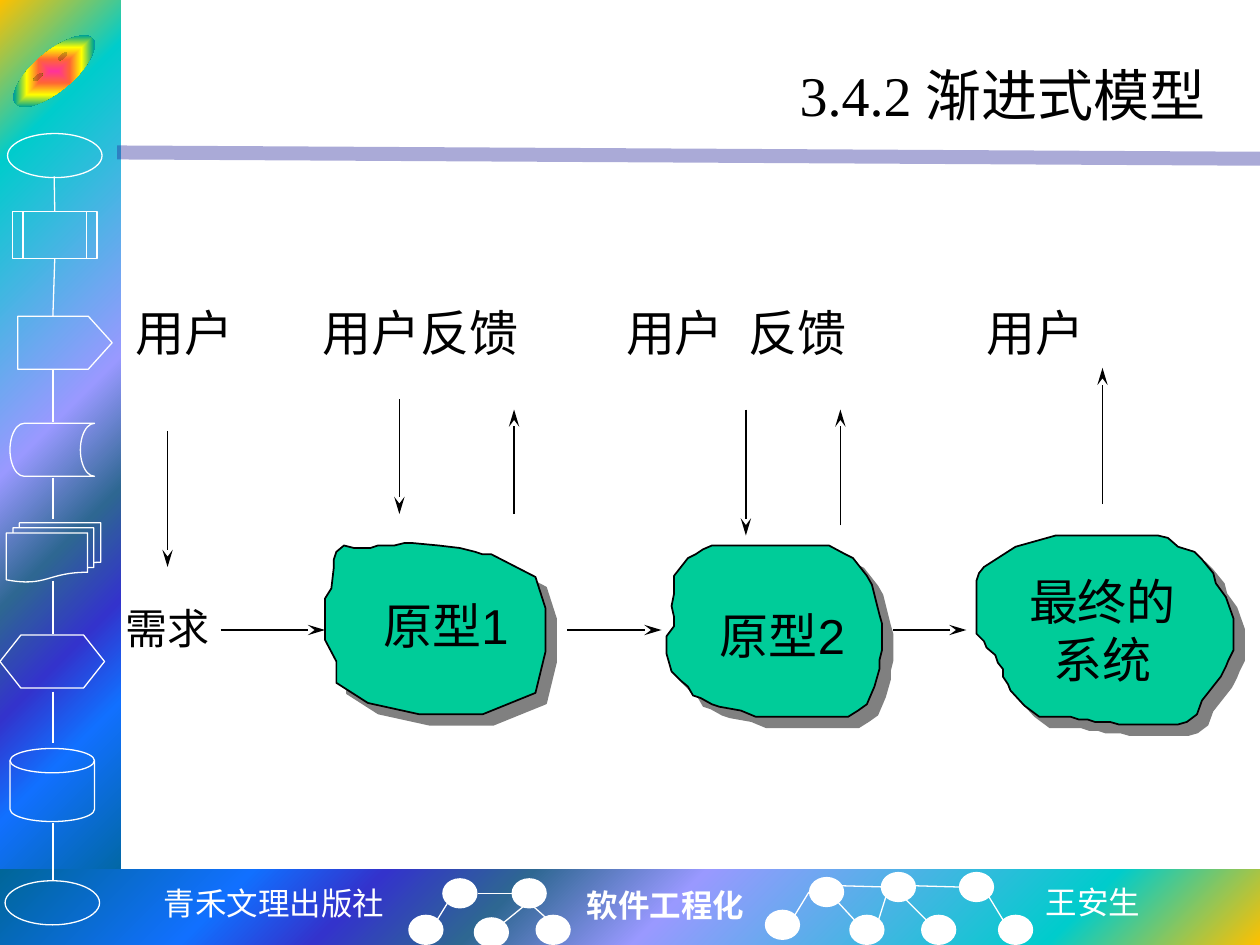
"""Build the slide on the incremental model, on a grid of 1000 columns by 750 rows."""
from lxml import etree
from pptx import Presentation
from pptx.dml.color import RGBColor
from pptx.enum.shapes import MSO_CONNECTOR, MSO_SHAPE
from pptx.enum.text import MSO_ANCHOR, PP_ALIGN
from pptx.oxml import parse_xml
from pptx.oxml.ns import nsdecls, qn
from pptx.util import Inches, Pt

LINE = MSO_CONNECTOR.STRAIGHT
RECT, OVAL = MSO_SHAPE.RECTANGLE, MSO_SHAPE.OVAL
FACE, PLATE = MSO_SHAPE.SMILEY_FACE, MSO_SHAPE.PENTAGON
STEP, STORE = MSO_SHAPE.FLOWCHART_PREDEFINED_PROCESS, MSO_SHAPE.FLOWCHART_STORED_DATA
PAGES, HEX = MSO_SHAPE.FLOWCHART_MULTIDOCUMENT, MSO_SHAPE.FLOWCHART_PREPARATION
DISK = MSO_SHAPE.FLOWCHART_MAGNETIC_DISK
LEFT, MID, RIGHT = PP_ALIGN.LEFT, PP_ALIGN.CENTER, PP_ALIGN.RIGHT
TOP, CORE = MSO_ANCHOR.TOP, MSO_ANCHOR.MIDDLE
WHITE, BLACK, GREEN = "FFFFFF", "000000", "00CC99"
SANS, SERIF, MONO, HAN = "Arial", "Times New Roman", "DejaVu Sans Mono", "Noto Sans CJK SC"
rgb = RGBColor.from_string

deck = Presentation()
deck.slide_width, deck.slide_height = Inches(10), Inches(7.5)
COL, ROW = deck.slide_width // 1000, deck.slide_height // 750
slide = deck.slides.add_slide(deck.slide_layouts[6])
shapes = slide.shapes

SEA = [(0, "FFC000"), (16, "00CCCC"), (47, "9999FF"), (60, "2E6792"),
       (71, "3333CC"), (81, "1170FF"), (100, "006699")]
GLOW = [(0, "FF3399"), (25, "FF6633"), (50, "FFFF00"), (75, "01A78F"), (100, "3366FF")]
blends = [
    (RECT, (0, 0, 96, 709), 0, SEA, "circle", (0, 0, 100, 100)),
    (RECT, (0, 690, 1000, 60), 0, SEA, "circle", (100, 100, 0, 0)),
    (FACE, (3, 41, 80, 31), -40, GLOW, "shape", (50, 50, 50, 50)),
]
for kind, (x, y, w, h), turn, stops, way, sides in blends:
    shape = shapes.add_shape(kind, x * COL, y * ROW, w * COL, h * ROW)
    shape.shadow.inherit = False
    shape.rotation = turn
    shape.line.fill.background()
    shape.fill.background()
    marks = "".join(f'<a:gs pos="{at * 1000}"><a:srgbClr val="{hue}"/></a:gs>' for at, hue in stops)
    edges = " ".join(f'{side}="{part * 1000}"' for side, part in zip("ltrb", sides))
    prop = shape._element.spPr
    prop.replace(prop.find(qn("a:noFill")), parse_xml(
        f'<a:gradFill {nsdecls("a")} rotWithShape="1"><a:gsLst>{marks}</a:gsLst>'
        f'<a:path path="{way}"><a:fillToRect {edges}/></a:path></a:gradFill>'))

icons = [
    (OVAL, 6, 106, 75, 35), (STEP, 10, 168, 67, 37), (PLATE, 14, 251, 75, 42),
    (STORE, 8, 336, 67, 42), (PAGES, 5, 415, 75, 47), (HEX, 0, 504, 83, 42),
    (DISK, 8, 594, 67, 58), (OVAL, 4, 699, 75, 35),
]
for kind, x, y, w, h in icons:
    icon = shapes.add_shape(kind, x * COL, y * ROW, w * COL, h * ROW)
    icon.shadow.inherit = False
    icon.fill.background()
    icon.line.color.rgb = rgb(WHITE)
    icon.line.width = Pt(0.75)
    if kind == PLATE:
        icon.adjustments[0] = 0.45
    if kind == STEP:
        step = icon

dots = [(351, 697), (406, 697), (324, 726), (376, 728), (425, 726), (607, 722),
        (642, 696), (699, 692), (761, 692), (674, 726), (731, 726), (792, 726)]
for x, y in dots:
    dot = shapes.add_shape(OVAL, x * COL, y * ROW, 28 * COL, 24 * ROW)
    dot.shadow.inherit = False
    dot.fill.solid()
    dot.fill.fore_color.rgb = rgb(WHITE)
    dot.line.fill.background()

blobs = [
    [(775, 493), (775, 461), (777, 455), (781, 450), (806, 434), (838, 425), (919, 425),
     (927, 427), (935, 434), (948, 438), (954, 444), (963, 455), (965, 463), (973, 474),
     (979, 491), (979, 516), (975, 524), (973, 529), (969, 537), (954, 556), (950, 567),
     (942, 573), (935, 575), (888, 575), (881, 573), (869, 573), (863, 571), (856, 571),
     (850, 569), (825, 569), (813, 560), (802, 548), (800, 543), (796, 537), (796, 531),
     (792, 526), (790, 520), (783, 514), (781, 509), (775, 503)],
    [(533, 481), (535, 471), (535, 457), (546, 443), (552, 440), (558, 436), (565, 433),
     (658, 433), (671, 440), (677, 443), (688, 457), (692, 464), (698, 488), (700, 495),
     (700, 516), (698, 524), (698, 531), (694, 545), (688, 559), (681, 564), (673, 569),
     (600, 569), (588, 564), (571, 561), (565, 559), (556, 554), (550, 552), (546, 545),
     (540, 540), (533, 533), (529, 519), (529, 505), (535, 497), (535, 490)],
    [(258, 475), (263, 467), (265, 450), (265, 444), (267, 438), (273, 433), (281, 435),
     (294, 435), (300, 433), (313, 433), (321, 431), (327, 431), (348, 433), (365, 435),
     (377, 438), (383, 440), (390, 440), (425, 458), (433, 483), (433, 517), (425, 550),
     (383, 567), (333, 567), (292, 558), (267, 542), (267, 525), (258, 508)],
]
for spots in blobs:
    pen = shapes.build_freeform(*spots[0], scale=COL)
    pen.add_line_segments(spots[1:], close=True)
    blob = pen.convert_to_shape()
    blob.fill.solid()
    blob.fill.fore_color.rgb = rgb(GREEN)
    blob.line.color.rgb = rgb(BLACK)
    blob.line.width = Pt(1)
    blob._element.spPr.append(parse_xml(
        f'<a:effectLst {nsdecls("a")}><a:outerShdw blurRad="0" dist="{Pt(8.5)}" dir="2700000" '
        'algn="ctr" rotWithShape="0"><a:srgbClr val="808080"/></a:outerShdw></a:effectLst>'))

band = [(93, 121, 1000, 126)]
chain = [(43, 140, 43, 168), (43, 205, 42, 251), (42, 293, 42, 335), (42, 379, 42, 412),
         (42, 461, 42, 503), (42, 549, 42, 590), (42, 653, 42, 699)]
links = [(347, 730, 355, 717), (400, 732, 416, 719), (406, 709, 379, 709), (434, 729, 424, 720),
         (631, 726, 642, 708), (668, 703, 703, 704), (678, 730, 665, 716), (697, 731, 703, 712),
         (726, 703, 761, 704), (735, 730, 715, 710), (796, 730, 785, 712)]
flow = [(133, 342, 133, 450), (317, 317, 317, 408), (592, 325, 592, 425), (408, 408, 408, 325),
        (667, 417, 667, 325), (875, 400, 875, 292),
        (175, 500, 258, 500), (450, 500, 525, 500), (709, 500, 767, 500)]
groups = [(band, "262699", 8), (chain + links, WHITE, 0.75), (flow, BLACK, 1)]
for rows, hue, size in groups:
    for x, y, right, low in rows:
        wire = shapes.add_connector(LINE, x * COL, y * ROW, right * COL, low * ROW)
        wire.line.color.rgb = rgb(hue)
        wire.line.width = Pt(size)
        prop = wire._element.spPr
        etree.SubElement(prop, qn("a:effectLst"))
        edge = prop.find(qn("a:ln"))
        if rows is band:
            tint = edge.find(".//" + qn("a:srgbClr"))
            etree.SubElement(tint, qn("a:alpha"), val="39000")
        if rows is flow:
            etree.SubElement(edge, qn("a:tailEnd"), type="stealth", len="lg")
        if (x, y) == (43, 140):
            wire.end_connect(step, 0)
        if (x, y) == (43, 205):
            wire.begin_connect(step, 2)

texts = [
    ("青禾文理出版社", (119, 697, 197, 40), 18, MONO, WHITE, MID, TOP),
    ("软件工程化", (456, 698, 146, 40), 18, SERIF, WHITE, LEFT, TOP),
    ("王安生", (820, 696, 96, 40), 18, HAN, WHITE, LEFT, TOP),
    ("原型1", (258, 442, 192, 108), 28, SANS, BLACK, MID, CORE),
    ("原型2", (525, 450, 192, 108), 28, SANS, BLACK, MID, CORE),
    ("最终的\n系统", (775, 450, 200, 100), 28, SANS, BLACK, MID, CORE),
    ("用户\t用户反馈\t用户\t反馈\t用户", (98, 235, 842, 57), 28, SANS, BLACK, LEFT, TOP),
    ("需求", (90, 473, 87, 50), 24, SERIF, BLACK, LEFT, TOP),
    ("3.4.2 渐进式模型", (117, 25, 850, 100), 32, SERIF, BLACK, RIGHT, CORE),
]
for words, (x, y, w, h), size, face, hue, side, hold in texts:
    frame = shapes.add_textbox(x * COL, y * ROW, w * COL, h * ROW).text_frame
    frame.word_wrap = "\t" in words or side == RIGHT
    frame.vertical_anchor = hold
    frame.text = words
    for para in frame.paragraphs:
        para.alignment = side
        if "\t" in words:
            tabs = etree.SubElement(para._p.get_or_add_pPr(), qn("a:tabLst"))
            for stop in (148, 389, 486, 675):
                etree.SubElement(tabs, qn("a:tab"), pos=str(stop * COL), algn="l")
        for run in para.runs:
            run.font.size = Pt(size)
            run.font.name = face
            run.font.bold = words == "软件工程化"
            run.font.color.rgb = rgb(hue)
            etree.SubElement(run._r.get_or_add_rPr(), qn("a:ea"), typeface=HAN)

deck.save("out.pptx")
